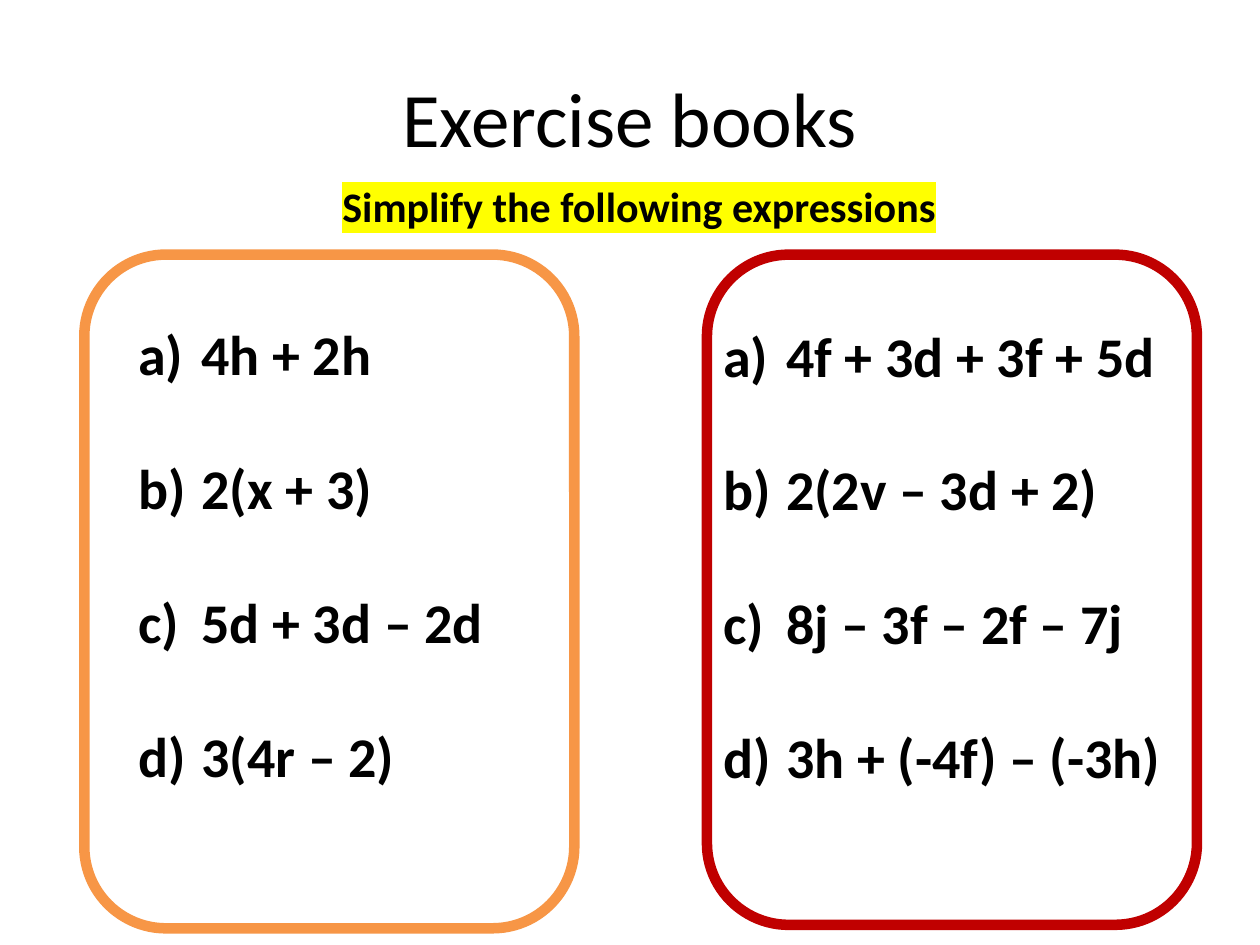
from dataclasses import dataclass

from lxml import etree
from pptx import Presentation
from pptx.dml.color import RGBColor
from pptx.enum.shapes import MSO_SHAPE
from pptx.enum.text import MSO_ANCHOR, PP_ALIGN
from pptx.oxml.ns import qn
from pptx.util import Pt

ROUNDED = MSO_SHAPE.ROUNDED_RECTANGLE
MIDDLE = MSO_ANCHOR.MIDDLE
CENTER = PP_ALIGN.CENTER
LEFT = PP_ALIGN.LEFT

FONT = "Calibri"
COLORS = {
    "text": "000000",
    "panel": "FFFFFF",
    "easier": "F79646",
    "harder": "C00000",
    "highlight": "FFFF00",
}
INDENT = Pt(36)
QUESTION_GAP = Pt(38)


@dataclass
class Box:
    left: float
    top: float
    width: float
    height: float

    def lengths(self) -> tuple:
        return Pt(self.left), Pt(self.top), Pt(self.width), Pt(self.height)


@dataclass
class Exercise:
    panel: Box
    questions_box: Box
    color: str
    questions: list[str]


EXERCISES = [
    Exercise(Box(48.2, 145.5, 280, 385), Box(72, 179.3, 232.5, 278.6), "easier",
             ["4h + 2h", "2(x + 3)", "5d + 3d – 2d", "3(4r – 2)"]),
    Exercise(Box(404, 145.5, 280, 383), Box(406.1, 180, 265.7, 278.6), "harder",
             ["4f + 3d + 3f + 5d", "2(2v – 3d + 2)", "8j – 3f – 2f – 7j",
              "3h + (-4f) – (-3h)"]),
]


def color(name: str) -> RGBColor:
    return RGBColor.from_string(COLORS[name])


def add_text(slide, box: Box, lines: list[str], size: float,
             bold: bool = False, align=LEFT):
    """Add a wrapping text box with one paragraph per line."""
    text_frame = slide.shapes.add_textbox(*box.lengths()).text_frame
    text_frame.word_wrap = True
    text_frame.text = "\n".join(lines)
    for paragraph in text_frame.paragraphs:
        paragraph.alignment = align
        for run in paragraph.runs:
            run.font.name = FONT
            run.font.size = Pt(size)
            run.font.bold = bold
            run.font.color.rgb = color("text")
    return text_frame


def letter_questions(text_frame) -> None:
    """Number the paragraphs a), b), c) with a hanging indent."""
    for index, paragraph in enumerate(text_frame.paragraphs):
        properties = paragraph._p.get_or_add_pPr()
        properties.set("marL", str(INDENT))
        properties.set("indent", str(-INDENT))
        etree.SubElement(properties, qn("a:buAutoNum"), type="alphaLcParenR")
        if index:
            paragraph.space_before = QUESTION_GAP


def highlight(run, name: str) -> None:
    """Mark a run; the highlight element belongs right after the fill."""
    mark = etree.Element(qn("a:highlight"))
    etree.SubElement(mark, qn("a:srgbClr"), val=COLORS[name])
    run._r.rPr.find(qn("a:solidFill")).addnext(mark)


def add_panel(slide, exercise: Exercise) -> None:
    shape = slide.shapes.add_shape(ROUNDED, *exercise.panel.lengths())
    shape.shadow.inherit = False
    shape.fill.solid()
    shape.fill.fore_color.rgb = color("panel")
    shape.line.color.rgb = color(exercise.color)
    shape.line.width = Pt(6)


def main() -> None:
    presentation = Presentation()
    presentation.slide_width, presentation.slide_height = Pt(720), Pt(540)
    slide = presentation.slides.add_slide(presentation.slide_layouts[6])

    # Title
    title = add_text(slide, Box(36, 21.6, 648, 90), ["Exercise books"], 44, align=CENTER)
    title.vertical_anchor = MIDDLE

    # Exercise panels with their questions
    for exercise in EXERCISES:
        add_panel(slide, exercise)
        questions = add_text(slide, exercise.questions_box, exercise.questions, 32, bold=True)
        letter_questions(questions)

    # Highlighted instruction
    instruction = add_text(slide, Box(188.6, 99.4, 380, 36),
                           ["Simplify the following expressions"], 24, bold=True)
    highlight(instruction.paragraphs[0].runs[0], "highlight")

    presentation.save("out.pptx")


if __name__ == "__main__":
    main()
